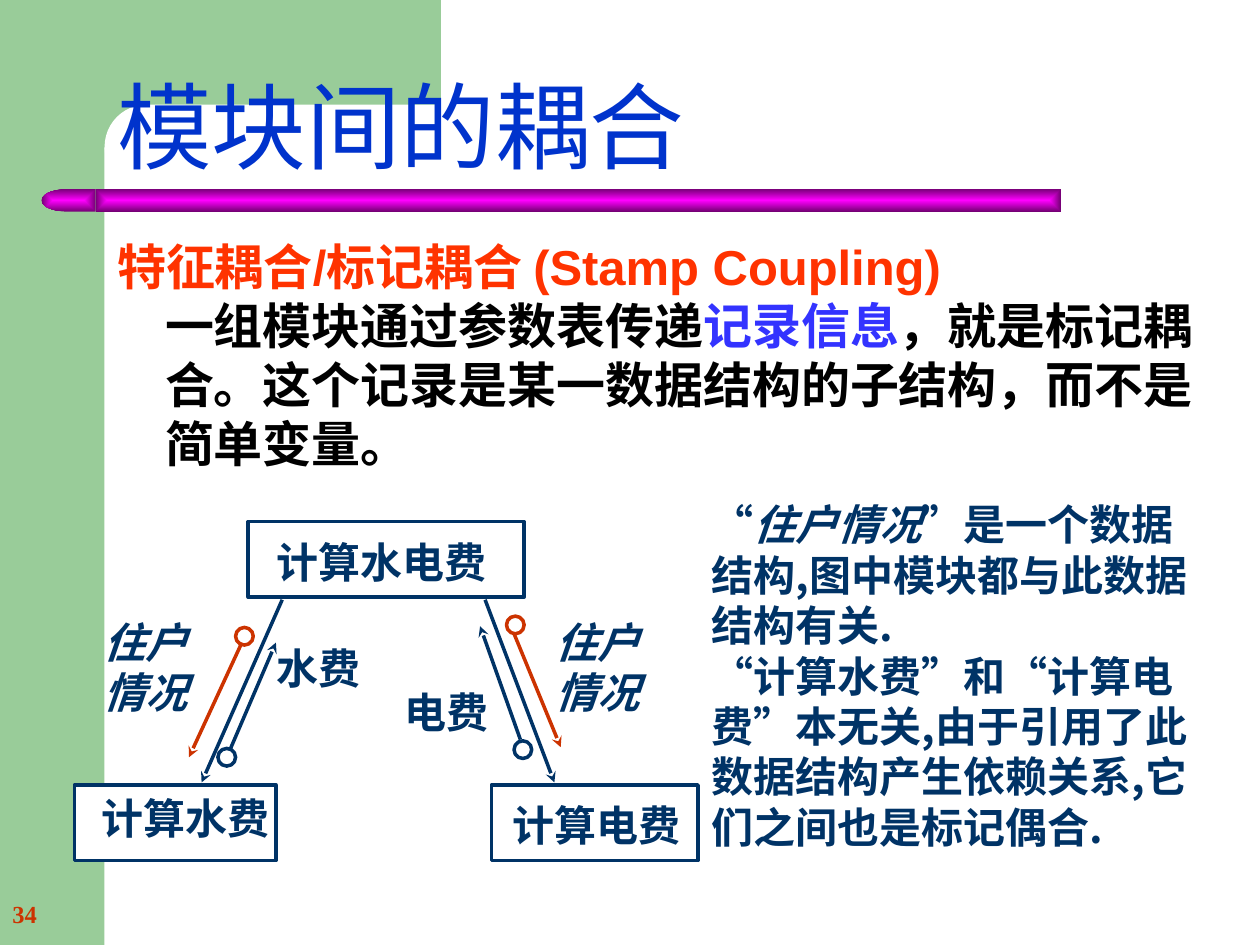
import pptx
import pptx.dml.color
import pptx.enum.dml
import pptx.enum.shapes
import pptx.enum.text
import pptx.oxml
import pptx.oxml.ns
import pptx.util
from lxml import etree

RGB = pptx.dml.color.RGBColor
SHAPE = pptx.enum.shapes.MSO_SHAPE
ANCHOR = pptx.enum.text.MSO_ANCHOR
qn = pptx.oxml.ns.qn

GREEN = RGB(0x99, 0xCC, 0x99)
WHITE = RGB(0xFF, 0xFF, 0xFF)
BLACK = RGB(0, 0, 0)
MAGENTA = RGB(0xFF, 0x00, 0xFF)
PURPLE = RGB(0x76, 0x00, 0x76)
BLUE = RGB(0x00, 0x33, 0xCC)
BRIGHT_BLUE = RGB(0x33, 0x33, 0xFF)
NAVY = RGB(0x00, 0x33, 0x66)
RED = RGB(0xFF, 0x33, 0x00)
BRICK = RGB(0xCC, 0x33, 0x00)
CJK, SERIF, SANS = "Noto Sans CJK SC", "Times New Roman", "Arial"

prs = pptx.Presentation()
prs.slide_width = pptx.util.Inches(10)
prs.slide_height = pptx.util.Inches(7.5)
# The slide is a grid of 100 columns by 75 rows; every box is in cells.
COL, ROW = prs.slide_width / 100, prs.slide_height / 75


def emu(x, y):
    return round(x * COL), round(y * ROW)


def within(box, x, y, w=0, h=0):
    """Shift a part's box by the corner of its region."""
    return box[0] + x, box[1] + y, w, h


def place(shape, box):
    shape.left, shape.top = emu(*box[:2])
    shape.width, shape.height = emu(*box[2:])


def add_shape(s, kind, box, fill=None, line=None):
    sp = s.shapes.add_shape(kind, *emu(*box[:2]), *emu(*box[2:]))
    sp.shadow.inherit = False
    if fill is None:
        sp.fill.background()
    else:
        sp.fill.solid()
        sp.fill.fore_color.rgb = fill
    if line is None:
        sp.line.fill.background()
    else:
        sp.line.color.rgb = line
        sp.line.width = pptx.util.Pt(2)
    return sp


def add_arrow(s, start, end, color):
    line = s.shapes.add_connector(pptx.enum.shapes.MSO_CONNECTOR.STRAIGHT,
                                  *emu(*start[:2]), *emu(*end[:2]))
    line.line.color.rgb = color
    line.line.width = pptx.util.Pt(2)
    etree.SubElement(line.line._get_or_add_ln(), qn("a:tailEnd"), type="stealth")
    etree.SubElement(line.element.spPr, qn("a:effectLst"))


def add_run(p, text, *, size=24, font=CJK, color=NAVY, bold=True, italic=False):
    r = p.add_run()
    r.text = text
    r.font.size = pptx.util.Pt(size)
    r.font.name = font
    r.font.bold, r.font.italic = bold, italic
    r.font.color.rgb = color
    latin = r.font._element.find(qn("a:latin"))
    east_asian = etree.Element(qn("a:ea"), typeface=CJK)
    latin.addnext(east_asian)


def add_text(s, box, paragraphs, wrap=True, anchor=ANCHOR.TOP, **style):
    """Add a text box; each paragraph is a list of (text, style) runs."""
    tb = s.shapes.add_textbox(*emu(*box[:2]), *emu(*box[2:]))
    tf = tb.text_frame
    tf.word_wrap, tf.vertical_anchor = wrap, anchor
    for i, runs in enumerate(paragraphs):
        p = tf.add_paragraph() if i else tf.paragraphs[0]
        p.line_spacing = pptx.util.Pt(1.2 * style.get("size", 24))
        for text, extra in runs:
            add_run(p, text, **{**style, **extra})


def add_backdrop(s, box):
    add_shape(s, SHAPE.RECTANGLE, within(box, 0, 0, 8.3, 75), GREEN)
    add_shape(s, SHAPE.RECTANGLE, within(box, 7.5, 0, 27.5, 11.7), GREEN)
    corner = add_shape(s, SHAPE.ROUNDED_RECTANGLE,
                       within(box, 8.3, 8.3, 55.8, 6.7), WHITE)
    corner.adjustments[0] = 0.5


def add_rule(s, box):
    """Add the glowing bar with its rounded left cap."""
    cap_width = 4.3
    bar = add_shape(s, SHAPE.RECTANGLE,
                    within(box, cap_width, 0, box[2] - cap_width, box[3]), MAGENTA)
    cap = add_shape(s, SHAPE.FLOWCHART_DELAY,
                    within(box, 0, 0, cap_width, box[3]), MAGENTA)
    cap.element.spPr.find(qn("a:xfrm")).set("flipH", "1")
    for sp in (bar, cap):
        sp.fill.gradient()
        for stop, color, position in zip(sp.fill.gradient_stops,
                                         (MAGENTA, PURPLE), (0, 1)):
            stop.color.rgb, stop.position = color, position
        grad = sp.element.spPr.find(qn("a:gradFill"))
        shade = etree.Element(qn("a:path"), path="rect")
        etree.SubElement(shade, qn("a:fillToRect"),
                         l="50000", t="50000", r="50000", b="50000")
        grad.replace(grad.find(qn("a:lin")), shade)


def bring_to_front(shape):
    shape.element.getparent().append(shape.element)


def fill_title(s, box):
    title = s.shapes.title
    place(title, box)
    bring_to_front(title)
    tf = title.text_frame
    tf.vertical_anchor = ANCHOR.BOTTOM
    tf.auto_size = pptx.enum.text.MSO_AUTO_SIZE.NONE
    p = tf.paragraphs[0]
    p.alignment = pptx.enum.text.PP_ALIGN.LEFT
    p.line_spacing = 0.9
    add_run(p, "模块间的耦合", size=54, color=BLUE, bold=False)


def fill_body(s, box):
    body = s.placeholders[1]
    place(body, box)
    bring_to_front(body)
    tf = body.text_frame
    tf.auto_size = pptx.enum.text.MSO_AUTO_SIZE.NONE
    p = tf.paragraphs[0]
    p.space_before = pptx.util.Pt(7)
    p.line_spacing = pptx.util.Pt(33.6)
    pPr = p._p.get_or_add_pPr()
    indent = pptx.util.Inches(0.38)
    pPr.set("marL", str(indent))
    pPr.set("indent", str(-indent))
    etree.SubElement(pPr, qn("a:buNone"))
    add_run(p, "特征耦合/标记耦合 (Stamp Coupling)", size=28, font=SANS, color=RED)
    p.add_line_break()
    for text, color in (("一组模块通过参数表传递", BLACK), ("记录信息", BRIGHT_BLUE),
                        ("，就是标记耦合。这个记录是某一数据结构的子结构，而不是简单变量。", BLACK)):
        add_run(p, text, size=28, font=SANS, color=color)


def add_structure_chart(s, box):
    """Add the modules, their calls and the data passed along each call."""
    modules = (("计算水电费", (13.8, 0, 21.9, 6), (15.1, 0.7, 18.7, 5)),
               ("计算水费", (0, 20.9, 16, 6), (1.2, 21, 15.4, 5)),
               ("计算电费", (33.1, 20.9, 16.4, 6), (33.8, 21.6, 15.4, 5)))
    calls = (((16.5, 6.2), (10.1, 20.7)), ((32.6, 6.2), (38.1, 20.7)))
    flows = ((BRICK, (12.8, 8.4), (13.3, 9.6), (9.1, 18.7)),
             (NAVY, (11.4, 18), (12.4, 18), (16, 9.6)),
             (BRICK, (34.3, 7.5), (34.9, 8.9), (38.6, 17.9)),
             (NAVY, (34.9, 17.4), (35.4, 17.3), (32.2, 8.3)))
    data = (("住户情况", (1.3, 7, 11.3, 9), True), ("水费", (15.1, 9.1, 9.7, 5), False),
            ("电费", (25.2, 12.6, 9.7, 5), False), ("住户情况", (37.2, 7, 9.2, 9), True))
    for name, frame, label in modules:
        add_shape(s, SHAPE.RECTANGLE, within(box, *frame), WHITE, NAVY)
        add_text(s, within(box, *label), [[(name, {})]], wrap=False)
    for start, end in calls:
        add_arrow(s, within(box, *start), within(box, *end), NAVY)
    for color, circle, start, end in flows:
        add_arrow(s, within(box, *start), within(box, *end), color)
        add_shape(s, SHAPE.OVAL, within(box, *circle, 1.4, 1.4), line=color)
    for name, label, italic in data:
        add_text(s, within(box, *label), [[(name, {"italic": italic})]])


def add_explanation(s, box):
    quote = {"font": SERIF}
    add_text(s, box, [
        [("“", quote), ("住户情况", {"italic": True}), ("”", quote),
         ("是一个数据结构,图中模块都与此数据结构有关.", {})],
        [("“", quote), ("计算水费", {}), ("”", quote), ("和", {}),
         ("“", quote), ("计算电费", {}), ("”", quote),
         ("本无关,由于引用了此数据结构产生依赖关系,它们之间也是标记偶合.", {})]])


def main():
    s = prs.slides.add_slide(prs.slide_layouts[1])
    add_backdrop(s, (0, 0, 100, 75))
    add_rule(s, (3.3, 15, 80.9, 1.8))
    add_text(s, (0, 70, 20.8, 5), [[("34", {})]], anchor=ANCHOR.MIDDLE,
             size=14, font=SERIF, color=BRICK)
    fill_title(s, (8.3, 2.5, 87.5, 12.5))
    fill_body(s, (8.3, 18.3, 89.2, 48.3))
    add_structure_chart(s, (5.9, 41.4, 49.5, 26.9))
    add_explanation(s, (55.5, 39.1, 41.7, 29))
    prs.save("out.pptx")


if __name__ == "__main__":
    main()
